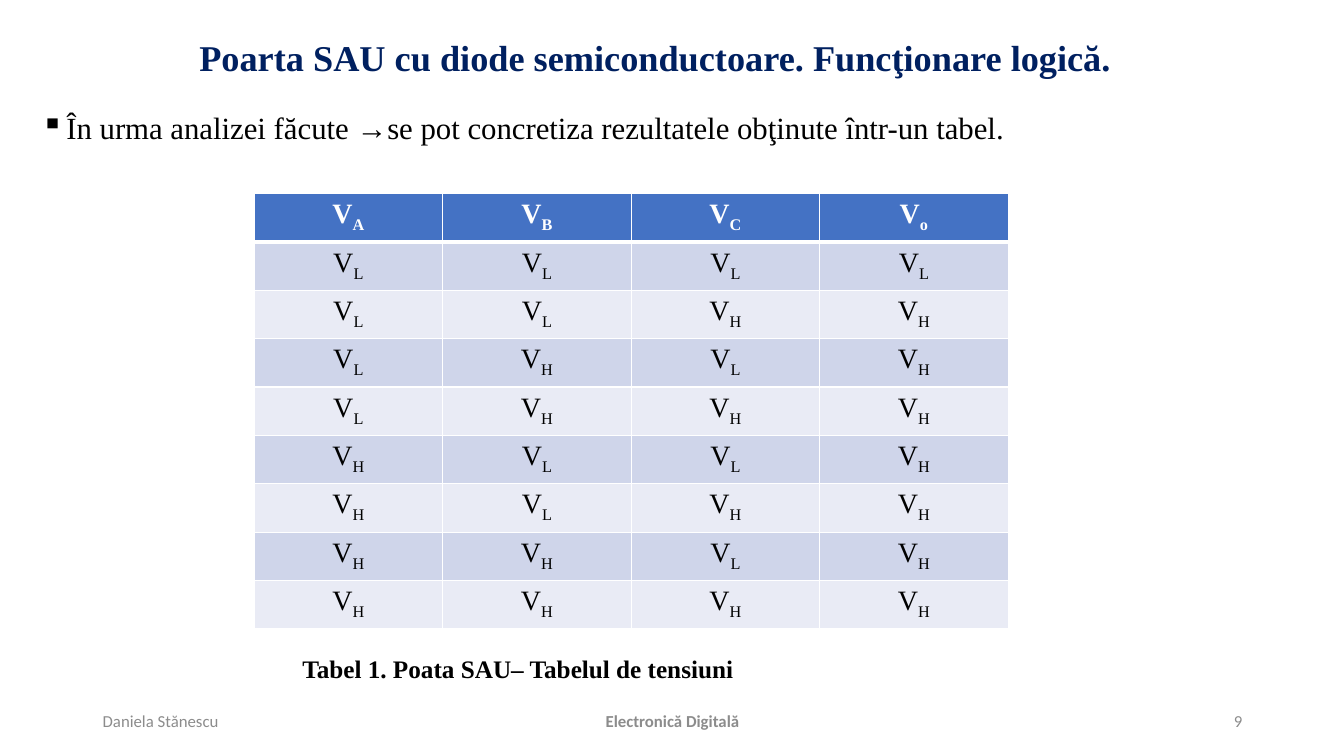
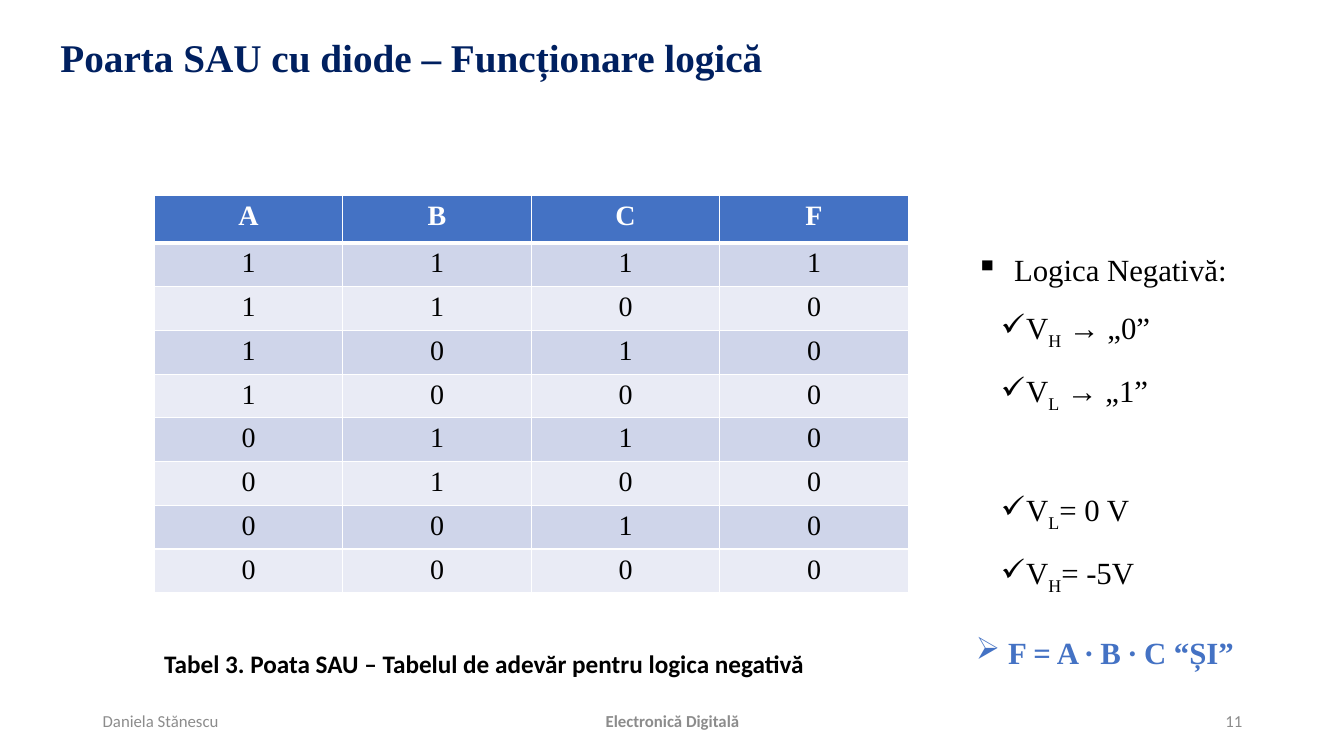
from itertools import product

from lxml import etree
from pptx import Presentation
from pptx.dml.color import RGBColor
from pptx.enum.text import MSO_ANCHOR, MSO_AUTO_SIZE, PP_ALIGN
from pptx.oxml.ns import qn
from pptx.util import Inches, Pt

LEFT, CENTER, RIGHT = PP_ALIGN.LEFT, PP_ALIGN.CENTER, PP_ALIGN.RIGHT
TOP, MIDDLE = MSO_ANCHOR.TOP, MSO_ANCHOR.MIDDLE
NO_AUTOFIT = MSO_AUTO_SIZE.NONE

SERIF, SANS = "Times New Roman", "Calibri"
NAVY, BLUE, GREY = "002060", "4472C4", "8C8C8C"
BLACK, WHITE = "000000", "FFFFFF"
BANDS = ("CFD5EA", "E9EBF5")
TITLE_ONLY = 5
COLUMN_WIDTH = 1.87


def rgb(value):
    """Turn a hex string into a colour."""
    return RGBColor.from_string(value)


def text_style(size, color=BLACK, bold=False, name=SERIF):
    """Describe the look of a span of text."""
    return {"size": Pt(size), "bold": bold, "name": name, "color": color}


def apply_formats(target, formats):
    """Set every attribute named in a dict of formats."""
    for name, value in formats.items():
        setattr(target, name, value)


def set_indent(para, left, first=0, bullet=None):
    """Indent a paragraph and give it an optional bullet character."""
    properties = para._p.get_or_add_pPr()
    properties.set("marL", str(Inches(left)))
    properties.set("indent", str(Inches(first)))
    if bullet:
        etree.SubElement(properties, qn("a:buChar"), char=bullet)


def write(para, text, style, indent=None, **formats):
    """Fill a paragraph, lowering the parts enclosed in tildes."""
    if indent:
        set_indent(para, *indent)
    apply_formats(para, formats)
    font_formats = {key: value for key, value in style.items() if key != "color"}
    for index, part in enumerate(text.split("~")):
        if not part:
            continue
        span = para.add_run()
        span.text = part
        apply_formats(span.font, font_formats)
        span.font.color.rgb = rgb(style["color"])
        if index % 2:
            span._r.get_or_add_rPr().set("baseline", "-25000")


def add_text(slide, place, lines, anchor=TOP):
    """Add a text box; each line is a dict of arguments for write."""
    box = slide.shapes.add_textbox(*map(Inches, place))
    frame = box.text_frame
    apply_formats(frame, {"word_wrap": True, "vertical_anchor": anchor})
    for index, line in enumerate(lines):
        para = frame.add_paragraph() if index else frame.paragraphs[0]
        write(para, **line)


def set_title(slide, place, text, size, alignment):
    """Place and format the title placeholder."""
    title = slide.shapes.title
    sides = ("left", "top", "width", "height")
    apply_formats(title, dict(zip(sides, map(Inches, place))))
    frame = title.text_frame
    apply_formats(frame, {"auto_size": NO_AUTOFIT, "word_wrap": True,
                          "vertical_anchor": MIDDLE})
    write(frame.paragraphs[0], text, text_style(size, NAVY, True), (0.5,),
          alignment=alignment, line_spacing=1.07, space_after=Pt(8))


def add_footer(slide, number):
    """Add the author, the course name and the slide number."""
    parts = (
        (0.92, 3, "Daniela Stănescu", LEFT, False),
        (4.42, 4.5, "Electronică Digitală", CENTER, True),
        (9.42, 3, str(number), RIGHT, False),
    )
    for left, width, text, alignment, bold in parts:
        line = {"text": text, "style": text_style(12, GREY, bold, SANS),
                "alignment": alignment}
        add_text(slide, (left, 6.95, width, 0.4), [line], MIDDLE)


def set_borders(cell, top, bottom):
    """Draw white borders round a cell, with widths in points."""
    properties = cell._tc.get_or_add_tcPr()
    for side, width in (("L", 1), ("R", 1), ("T", top), ("B", bottom)):
        line = etree.SubElement(properties, qn(f"a:ln{side}"), w=str(Pt(width)))
        fill = etree.SubElement(line, qn("a:solidFill"))
        etree.SubElement(fill, qn("a:srgbClr"), val=WHITE)


def add_truth_table(slide, left, top, rows, header_height, row_height):
    """Add a banded table whose first row is the header."""
    columns = len(rows[0])
    heights = [header_height] + [row_height] * (len(rows) - 1)
    table = slide.shapes.add_table(
        len(rows), columns, Inches(left), Inches(top),
        Inches(COLUMN_WIDTH * columns), Inches(sum(heights))).table
    for column in table.columns:
        column.width = Inches(COLUMN_WIDTH)
    for row_index, values in enumerate(rows):
        header = row_index == 0
        table.rows[row_index].height = Inches(heights[row_index])
        style = text_style(20, WHITE if header else BLACK, header)
        for column_index, value in enumerate(values):
            cell = table.cell(row_index, column_index)
            set_borders(cell, 3 if row_index == 1 else 1, 3 if header else 1)
            cell.fill.solid()
            cell.fill.fore_color.rgb = rgb(BLUE if header else BANDS[(row_index - 1) % 2])
            write(cell.text_frame.paragraphs[0], value, style, alignment=CENTER)


def voltage_rows():
    """List the OR gate voltages: the output is high if any input is."""
    rows = [[f"V~{name}~" for name in "ABCo"]]
    for levels in product("LH", repeat=3):
        output = "H" if "H" in levels else "L"
        rows.append([f"V~{level}~" for level in (*levels, output)])
    return rows


def negative_logic_rows():
    """List the negative logic values: the output is 1 if all inputs are."""
    return [list("ABCF")] + [[*bits, min(bits)] for bits in product("10", repeat=3)]


def add_slide(deck, number):
    """Add a title-only slide with its footer."""
    slide = deck.slides.add_slide(deck.slide_layouts[TITLE_ONLY])
    add_footer(slide, number)
    return slide


def build_voltage_slide(deck):
    """Build the slide with the voltage table."""
    slide = add_slide(deck, 9)
    set_title(slide, (1.07, 0.2, 10.36, 0.7),
              "Poarta SAU cu diode semiconductoare. Funcţionare logică.", 25.9, CENTER)
    add_text(slide, (0.31, 1.07, 10.03, 0.55), [{
        "text": "În urma analizei făcute →se pot concretiza rezultatele obţinute într-un tabel.",
        "style": text_style(22), "indent": (0.25, -0.25, "▪"), "line_spacing": 0.9}])
    add_truth_table(slide, 2.52, 1.92, voltage_rows(), 0.48, 0.48)
    add_text(slide, (0.9, 6.28, 9.37, 0.56), [{
        "text": "Tabel 1. Poata SAU– Tabelul de tensiuni",
        "style": text_style(18, bold=True), "indent": (2,), "line_spacing": 1.5}])


def build_negative_logic_slide(deck):
    """Build the slide with the negative logic table."""
    slide = add_slide(deck, 11)
    set_title(slide, (0, 0, 11.72, 1.1),
              "Poarta SAU cu diode – Funcționare logică", 28, LEFT)
    add_truth_table(slide, 1.53, 1.94, negative_logic_rows(), 0.47, 0.42)
    add_text(slide, (1.53, 6.38, 6.8, 0.4), [{
        "text": "Tabel 3. Poata SAU – Tabelul de adevăr pentru logica negativă",
        "style": text_style(18, bold=True, name=SANS)}])
    body = {"style": text_style(22), "line_spacing": 1.5}
    check = {**body, "indent": (0.5, -0.25, "✓")}
    add_text(slide, (9.58, 2.26, 3.33, 4.17), [
        {**body, "text": "Logica Negativă:", "indent": (0.38, -0.38, "▪")},
        {**check, "text": "V~H~ → „0”"},
        {**check, "text": "V~L~ → „1”"},
        {**check, "text": "V~L~= 0 V", "space_before": Pt(40)},
        {**check, "text": "V~H~= -5V"},
        {"text": "F = A ∙ B ∙ C “ȘI”", "style": text_style(22, BLUE, True),
         "indent": (0.32, -0.32, "➢"), "space_before": Pt(27)},
    ])


def main():
    """Build and save the deck."""
    deck = Presentation()
    apply_formats(deck, {"slide_width": Inches(13.33), "slide_height": Inches(7.5)})
    build_voltage_slide(deck)
    build_negative_logic_slide(deck)
    deck.save("out.pptx")


if __name__ == "__main__":
    main()
